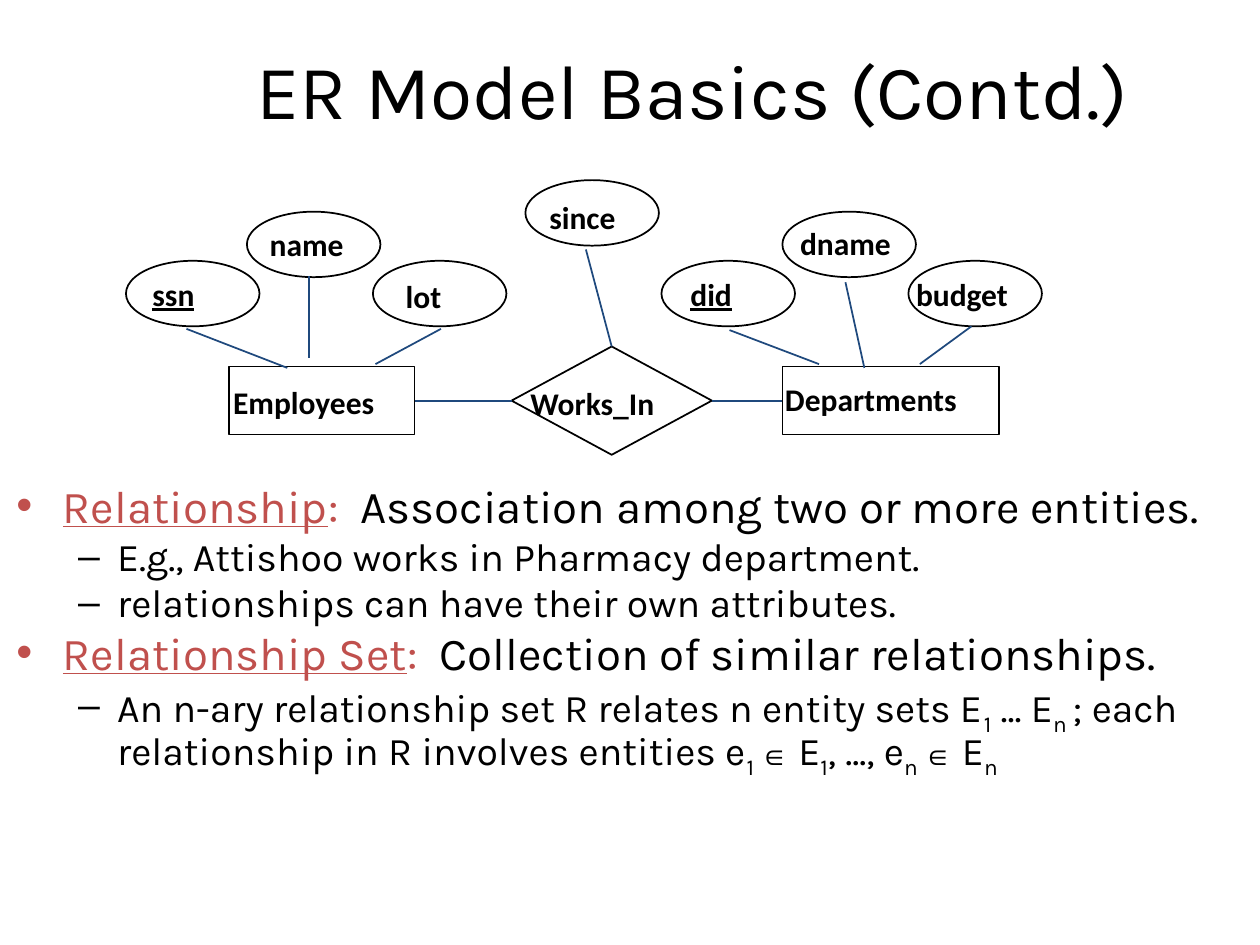
from dataclasses import dataclass

from lxml import etree
from pptx import Presentation
from pptx.dml.color import RGBColor
from pptx.enum.shapes import MSO_CONNECTOR, MSO_SHAPE
from pptx.enum.text import MSO_ANCHOR, MSO_AUTO_SIZE, PP_ALIGN
from pptx.oxml.ns import qn
from pptx.slide import Slide
from pptx.util import Inches, Pt

STRAIGHT = MSO_CONNECTOR.STRAIGHT
OVAL, RECTANGLE, DIAMOND = MSO_SHAPE.OVAL, MSO_SHAPE.RECTANGLE, MSO_SHAPE.DIAMOND
MIDDLE, TOP_ANCHOR = MSO_ANCHOR.MIDDLE, MSO_ANCHOR.TOP
FIT_SHAPE = MSO_AUTO_SIZE.SHAPE_TO_FIT_TEXT
CENTER = PP_ALIGN.CENTER
TOP, LEFT, RIGHT = 0, 1, 3

COLORS = {"ink": "000000", "link": "1F497D", "term": "C0504D"}
LEVELS = [
    {"size": 26.1, "bullet": "•", "margin": 0.37, "hanging": 0.37, "before": 6},
    {"size": 22.4, "bullet": "–", "margin": 0.8, "hanging": 0.31, "before": 5},
]

ATTRIBUTE_SIZE = (1.06, 0.52)
# name, oval position, label left, top and width, is key, link ends
ATTRIBUTES = [
    ("name", (1.96, 1.68), (2.09, 1.74, 0.71), False, (2.45, 2.19), (2.45, 2.84)),
    ("ssn", (1, 2.07), (1.16, 2.13, 0.49), True, (1.48, 2.61), (2.28, 2.92)),
    ("lot", (2.96, 2.07), (3.17, 2.15, 0.4), False, (3.5, 2.61), (2.98, 2.89)),
    ("did", (5.25, 2.07), (5.43, 2.13, 0.44), True, (5.79, 2.62), (6.5, 2.89)),
    ("dname", (6.21, 1.68), (6.3, 1.73, 0.85), False, (6.71, 2.24), (6.86, 2.92)),
    ("budget", (7.21, 2.07), (7.22, 2.13, 0.89), False, (7.71, 2.59), (7.3, 2.89)),
]

MEMBER = [("∈", "symbol"), (" E", "plain")]
DEFINITIONS = [
    (0, [("Relationship", "term"), (":  ", "colon"),
         ("Association among two or more entities.", "plain")]),
    (1, [("E.g., Attishoo works in Pharmacy department.", "plain")]),
    (1, [("relationships can have their own attributes.", "plain")]),
    (0, [("Relationship Set", "term"), (":  ", "colon"),
         ("Collection of similar relationships.", "plain")]),
    (1, [("An n-ary relationship set R relates n entity sets E", "plain"), ("1", "sub"),
         (" ... E", "plain"), ("n ", "sub"),
         ("; each relationship in R involves entities e", "plain"), ("1 ", "sub"),
         *MEMBER, ("1", "sub"), (", ..., e", "plain"), ("n ", "sub"),
         *MEMBER, ("n", "sub")]),
]


@dataclass
class DiagramSlide:
    """Draws the parts of an entity-relationship slide in one style."""

    slide: Slide
    text_font: str = "Karla"
    label_font: str = "Calibri"
    symbol_font: str = "Arial"
    inset: float = 0.05
    line_width: float = 1

    def color(self, name):
        return RGBColor.from_string(COLORS[name])

    def style(self, font, face, size, color="ink"):
        font.name, font.size = face, Pt(size)
        font.color.rgb = self.color(color)

    def frame(self, left, top, width, height, wrap=True, anchor=TOP_ANCHOR):
        box = self.slide.shapes.add_textbox(*map(Inches, (left, top, width, height)))
        frame = box.text_frame
        frame.word_wrap, frame.vertical_anchor = wrap, anchor
        frame.margin_left = frame.margin_right = Inches(self.inset)
        frame.margin_top = frame.margin_bottom = Inches(self.inset)
        return frame

    def title(self, text, *bounds):
        heading = self.frame(*bounds, anchor=MIDDLE).paragraphs[0]
        heading.text, heading.alignment = text, CENTER
        self.style(heading.font, self.text_font, 44)

    def label(self, text, left, top, width, underline=False):
        frame = self.frame(left, top, width, 0.43, wrap=False)
        frame.auto_size = FIT_SHAPE
        caption = frame.paragraphs[0]
        caption.text = text
        self.style(caption.font, self.label_font, 18)
        caption.font.bold, caption.font.underline = True, underline

    def outline(self, kind, left, top, width, height):
        node = self.slide.shapes.add_shape(kind, *map(Inches, (left, top, width, height)))
        node.shadow.inherit = False
        node.fill.background()
        node.line.color.rgb = self.color("ink")
        node.line.width = Pt(self.line_width)
        return node

    def link(self, start=(0, 0), end=(0, 0), source=None, target=None):
        link = self.slide.shapes.add_connector(STRAIGHT, *map(Inches, (*start, *end)))
        link.line.color.rgb = self.color("link")
        link.line.width = Pt(self.line_width)
        etree.SubElement(link._element.spPr, qn("a:effectLst"))
        if source:
            link.begin_connect(*source)
        if target:
            link.end_connect(*target)

    def bullets(self, items, *bounds):
        frame = self.frame(*bounds)
        for index, (depth, parts) in enumerate(items):
            level = LEVELS[depth]
            item = frame.add_paragraph() if index else frame.paragraphs[0]
            item.level, item.line_spacing = depth, 0.8
            item.space_before = Pt(level["before"])
            properties = item._p.get_or_add_pPr()
            properties.set("marL", str(Inches(level["margin"])))
            properties.set("indent", str(-Inches(level["hanging"])))
            etree.SubElement(properties, qn("a:buFont"), typeface=self.symbol_font)
            etree.SubElement(properties, qn("a:buChar"), char=level["bullet"])
            for text, role in parts:
                self.run(item, text, role, level["size"])

    def run(self, item, text, role, size):
        run = item.add_run()
        run.text = text
        symbol = role == "symbol"
        self.style(run.font, self.symbol_font if symbol else self.text_font,
                   16.8 if symbol else size,
                   "term" if role in ("term", "colon") else "ink")
        if role == "term":
            run.font.underline = True
        if role == "sub":
            run._r.get_or_add_rPr().set("baseline", "-25000")


def main():
    deck = Presentation()
    deck.slide_width, deck.slide_height = Inches(10), Inches(7.5)
    page = DiagramSlide(deck.slides.add_slide(deck.slide_layouts[6]))

    page.title("ER Model Basics (Contd.)", 1.25, 0.08, 8.5, 1.25)
    page.bullets(DEFINITIONS, 0.08, 3.83, 9.83, 3.5)

    employees = page.outline(RECTANGLE, 1.82, 2.91, 1.47, 0.54)
    departments = page.outline(RECTANGLE, 6.21, 2.91, 1.72, 0.54)
    works_in = page.outline(DIAMOND, 4.06, 2.75, 1.59, 0.86)
    page.label("Employees", 1.8, 2.99, 1.32)
    page.label("Departments", 6.18, 2.97, 1.58)
    page.label("Works_In", 4.16, 3, 1.15)
    page.link(source=(employees, RIGHT), target=(works_in, LEFT))
    page.link(source=(works_in, RIGHT), target=(departments, LEFT))

    page.outline(OVAL, 4.17, 1.43, *ATTRIBUTE_SIZE)
    page.label("since", 4.31, 1.52, 0.71)
    page.link(start=(4.65, 1.98), target=(works_in, TOP))

    for name, oval, caption, is_key, start, end in ATTRIBUTES:
        page.outline(OVAL, *oval, *ATTRIBUTE_SIZE)
        page.label(name, *caption, underline=is_key)
        page.link(start, end)

    deck.save("out.pptx")


if __name__ == "__main__":
    main()
